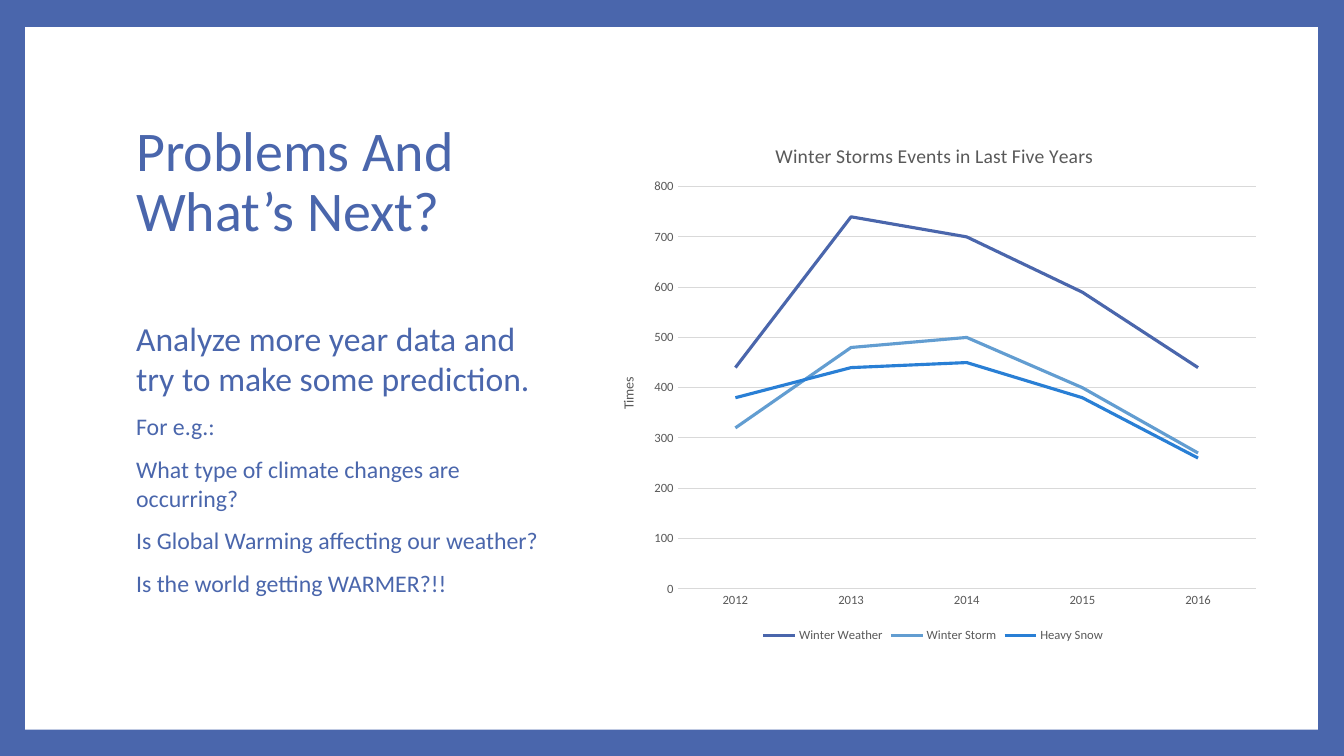
from dataclasses import dataclass

from lxml import etree
from pptx import Presentation
from pptx import util as u
from pptx.chart.data import CategoryChartData
from pptx.dml.color import RGBColor
from pptx.enum import chart as ch, shapes, text
from pptx.oxml.ns import qn


@dataclass(frozen=True)
class Theme:
    font: str = "Calibri"
    accent: str = "4A66AC"
    paper: str = "FFFFFF"
    label: str = "595959"
    grid: str = "D9D9D9"
    storm: str = "629DD1"
    snow: str = "297FD5"
    heading_size: float = 40
    lead_size: float = 24
    question_size: float = 17
    chart_title_size: float = 14
    axis_title_size: float = 10
    label_size: float = 9


THEME = Theme()

HEADING = "Problems And What’s Next?"
LEAD = "Analyze more year data and try to make some prediction."
QUESTIONS = [
    "For e.g.:",
    "What type of climate changes are occurring?",
    "Is Global Warming affecting our weather?",
    "Is the world getting WARMER?!!",
]
YEARS = ["2012", "2013", "2014", "2015", "2016"]
STORM_EVENTS = [
    ("Winter Weather", THEME.accent, (440, 740, 700, 590, 440)),
    ("Winter Storm", THEME.storm, (320, 480, 500, 400, 270)),
    ("Heavy Snow", THEME.snow, (380, 440, 450, 380, 260)),
]


def apply(target, formats):
    for name, value in formats.items():
        setattr(target, name, value)


def style_font(font, size, color):
    apply(font, {"name": THEME.font, "size": u.Pt(size), "bold": False})
    font.color.rgb = RGBColor.from_string(color)


def style_line(line, color, width):
    line.color.rgb = RGBColor.from_string(color)
    line.width = u.Pt(width)


def place(shape, left, top, width, height):
    apply(shape, {
        "left": u.Inches(left), "top": u.Inches(top),
        "width": u.Inches(width), "height": u.Inches(height),
    })


def add_framed_page(slide):
    """Colour the background and lay the white page on it."""
    background = slide.background.fill
    background.solid()
    background.fore_color.rgb = RGBColor.from_string(THEME.accent)
    page = slide.shapes.add_shape(
        shapes.MSO_SHAPE.RECTANGLE,
        u.Inches(0.25), u.Inches(0.27), u.Inches(12.82), u.Inches(6.97))
    page.shadow.inherit = False
    page.fill.solid()
    page.fill.fore_color.rgb = RGBColor.from_string(THEME.paper)
    page.line.fill.background()
    # Keep the page behind the placeholders
    slide.shapes._spTree.insert(2, page._element)


def fill_placeholder(placeholder, box, anchor, paragraphs, formats):
    """Write (text, size) paragraphs into a moved placeholder."""
    place(placeholder, *box)
    frame = placeholder.text_frame
    apply(frame, {
        "word_wrap": True,
        "auto_size": text.MSO_AUTO_SIZE.NONE,
        "vertical_anchor": anchor,
    })
    frame.text = "\n".join(words for words, _ in paragraphs)
    for paragraph, (_, size) in zip(frame.paragraphs, paragraphs):
        apply(paragraph, {"alignment": text.PP_ALIGN.LEFT, **formats})
        style_font(paragraph.runs[0].font, size, THEME.accent)


def set_layout(parent, index, **fractions):
    """Pin a chart part to fractions of the chart area."""
    for old in parent.findall(qn("c:layout")):
        parent.remove(old)
    layout = etree.Element(qn("c:layout"))
    manual = etree.SubElement(layout, qn("c:manualLayout"))
    settings = {"xMode": "edge", "yMode": "edge", **fractions}
    if "w" in fractions:
        settings = {"layoutTarget": "inner", **settings}
    for tag, value in settings.items():
        etree.SubElement(manual, qn(f"c:{tag}")).set("val", str(value))
    parent.insert(index, layout)


def write_chart_title(title, words, size):
    title.text_frame.text = words
    run = title.text_frame.paragraphs[0].runs[0]
    style_font(run.font, size, THEME.label)


def style_axes(chart):
    years, times = chart.category_axis, chart.value_axis
    for axis in (years, times):
        apply(axis, {
            "major_tick_mark": ch.XL_TICK_MARK.NONE,
            "minor_tick_mark": ch.XL_TICK_MARK.NONE,
        })
        style_font(axis.tick_labels.font, THEME.label_size, THEME.label)
    style_line(years.format.line, THEME.grid, 0.75)
    apply(times, {"minimum_scale": 0, "maximum_scale": 800, "major_unit": 100})
    times.format.line.fill.background()
    style_line(times.major_gridlines.format.line, THEME.grid, 0.75)
    write_chart_title(times.axis_title, "Times", THEME.axis_title_size)


def add_storm_chart(slide):
    events = CategoryChartData()
    events.categories = YEARS
    for name, _, counts in STORM_EVENTS:
        events.add_series(name, counts)
    chart = slide.shapes.add_chart(
        ch.XL_CHART_TYPE.LINE, u.Inches(5.92), u.Inches(1.17),
        u.Inches(6.67), u.Inches(5.25), events).chart
    style_font(chart.font, THEME.axis_title_size, THEME.label)
    write_chart_title(chart.chart_title, "Winter Storms Events in Last Five Years",
                      THEME.chart_title_size)
    set_layout(chart.chart_title._element, 1, x=0.26, y=0.04)
    style_axes(chart)
    plot = chart.plots[0]
    plot.vary_by_categories = False
    for series, (_, color, _) in zip(plot.series, STORM_EVENTS):
        series.smooth = False
        series.marker.style = ch.XL_MARKER_STYLE.NONE
        style_line(series.format.line, color, 2.25)
    plot_area = chart._chartSpace.chart.plotArea
    set_layout(plot_area, 0, x=0.12, y=0.13, w=0.86, h=0.76)
    chart.has_legend = True
    apply(chart.legend, {
        "position": ch.XL_LEGEND_POSITION.BOTTOM, "include_in_layout": False,
    })
    style_font(chart.legend.font, THEME.label_size, THEME.label)


def main():
    deck = Presentation()
    apply(deck, {"slide_width": u.Inches(13.33), "slide_height": u.Inches(7.5)})
    slide = deck.slides.add_slide(deck.slide_layouts.get_by_name("Content with Caption"))
    _, content, questions = slide.placeholders
    content._element.getparent().remove(content._element)

    add_framed_page(slide)
    fill_placeholder(slide.shapes.title, (1.25, 0.57, 4.3, 1.9),
                     text.MSO_ANCHOR.BOTTOM, [(HEADING, THEME.heading_size)],
                     {"line_spacing": 0.9})
    add_storm_chart(slide)
    fill_placeholder(questions, (1.25, 3.1, 4.3, 3.15), text.MSO_ANCHOR.TOP,
                     [(LEAD, THEME.lead_size)]
                     + [(line, THEME.question_size) for line in QUESTIONS],
                     {"space_before": u.Pt(10)})
    deck.save("out.pptx")


if __name__ == "__main__":
    main()
